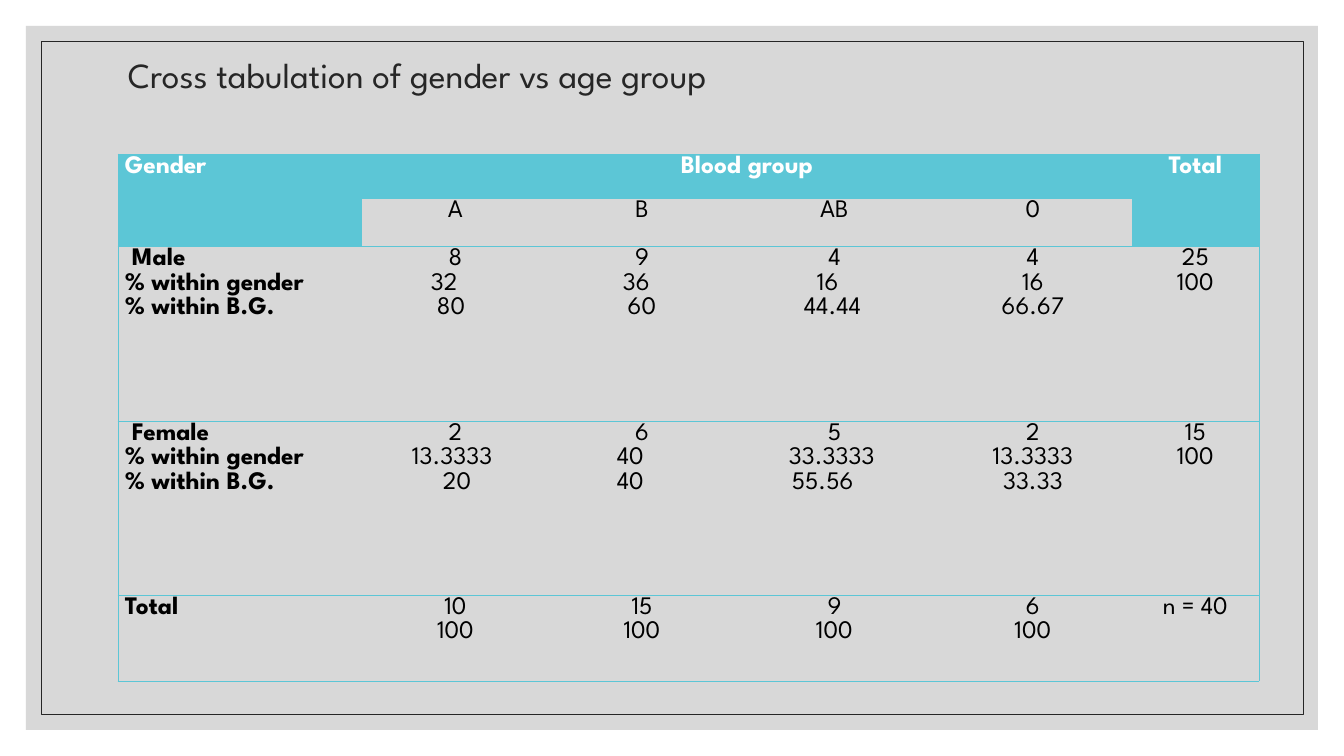
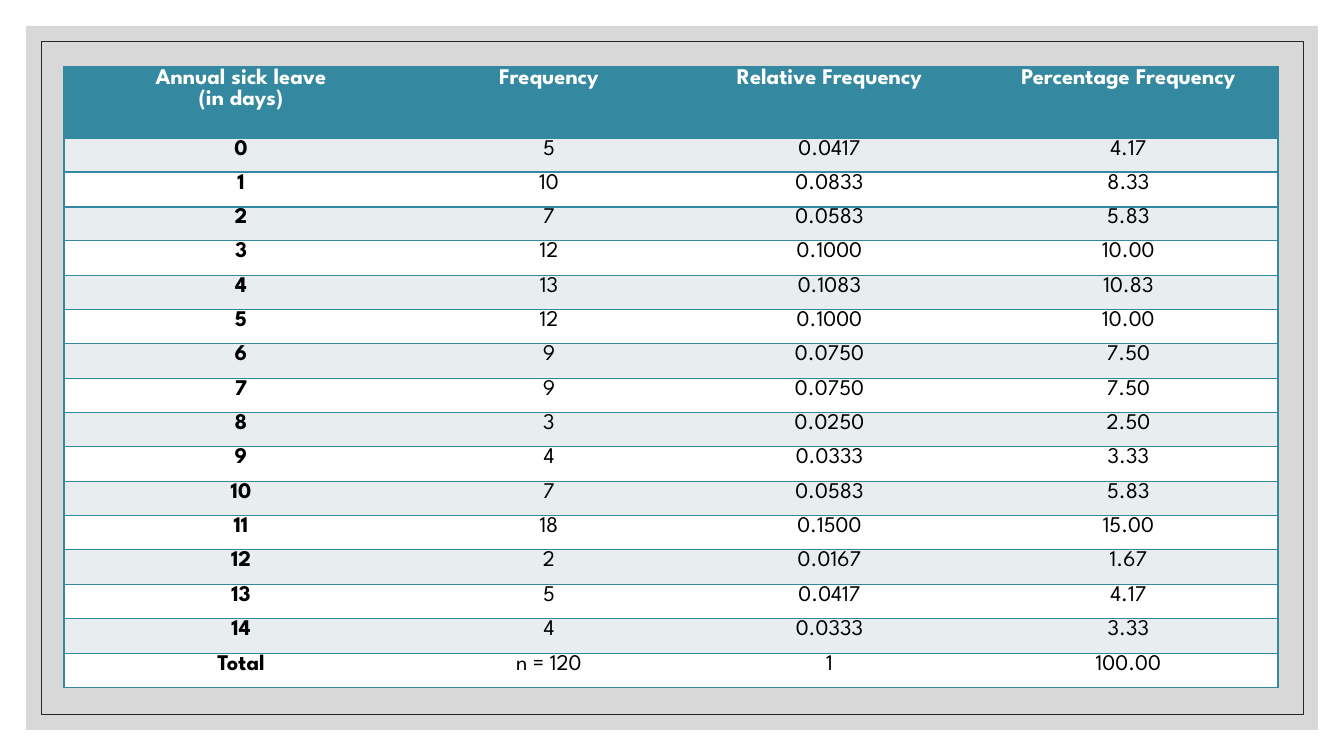
from dataclasses import dataclass
from typing import Optional, Union

from lxml import etree
from pptx import Presentation
from pptx.dml.color import RGBColor
from pptx.enum.shapes import MSO_SHAPE
from pptx.enum.text import MSO_ANCHOR, PP_ALIGN
from pptx.oxml.ns import qn
from pptx.util import Emu, Pt

RECTANGLE = MSO_SHAPE.RECTANGLE
LEFT, CENTER = PP_ALIGN.LEFT, PP_ALIGN.CENTER
MIDDLE = MSO_ANCHOR.MIDDLE

SLIDE_W, SLIDE_H = 1344, 756
EMU_PER_PX = 12192000 / SLIDE_W
FONT = "League Spartan"
BLACK, WHITE, INK = "000000", "FFFFFF", "262626"
PANEL, TURQUOISE, TEAL, PALE = "BFBFBF", "5CC6D6", "3488A0", "E8EDF0"
CELL_INSET = 7
NO_STYLE = "{2D5ABB26-0587-4C30-8999-92F81FD0307C}"


@dataclass(frozen=True)
class Line:
    """A line of text; with an indent it is left-aligned at that offset."""
    text: str
    indent: Optional[int] = None


Lines = list[Union[str, Line]]


@dataclass(frozen=True)
class TableStyle:
    size: int
    border: str
    border_pt: float
    header_rows: int
    bands: tuple[Optional[str], ...]


def px(length: float) -> Emu:
    return Emu(round(length * EMU_PER_PX))


def rgb(code: str) -> RGBColor:
    return RGBColor.from_string(code)


def write(frame, lines: Lines, *, size: float, color: str = BLACK,
          bold: bool = False, align=LEFT, spacing: float = 1.07) -> None:
    for index, item in enumerate(lines):
        line = item if isinstance(item, Line) else Line(item)
        paragraph = frame.add_paragraph() if index else frame.paragraphs[0]
        paragraph.line_spacing = spacing
        paragraph.alignment = align if line.indent is None else LEFT
        if line.indent is not None:
            paragraph._p.get_or_add_pPr().set("marL", str(px(line.indent)))
        run = paragraph.add_run()
        run.text = line.text
        run.font.name, run.font.size, run.font.bold = FONT, Pt(size), bold
        run.font.color.rgb = rgb(color)


# Shared backdrop: translucent panel with a thin frame
def add_backdrop(slide) -> None:
    panel = slide.shapes.add_shape(RECTANGLE, px(26), px(26), px(1292), px(704))
    panel.shadow.inherit = False
    panel.fill.solid()
    panel.fill.fore_color.rgb = rgb(PANEL)
    panel.line.fill.background()
    tint = panel._element.spPr.find(qn("a:solidFill"))[0]
    etree.SubElement(tint, qn("a:alpha"), val="60000")

    frame = slide.shapes.add_shape(RECTANGLE, px(41), px(41), px(1262), px(673))
    frame.shadow.inherit = False
    frame.fill.background()
    frame.line.color.rgb = rgb(INK)
    frame.line.width = Pt(0.5)


def add_title(slide, text: str) -> None:
    title = slide.shapes.add_textbox(px(118), px(55), px(1109), px(44))
    title.text_frame.word_wrap = True
    title.text_frame.vertical_anchor = MIDDLE
    write(title.text_frame, [text], size=25.2, color=INK, spacing=0.9)


def add_border(cell, side: str, color: str, width: float) -> None:
    edge = etree.SubElement(cell._tc.get_or_add_tcPr(), qn(f"a:ln{side}"),
                            w=str(Pt(width)))
    paint = etree.SubElement(edge, qn("a:solidFill"))
    etree.SubElement(paint, qn("a:srgbClr"), val=color)


def paint_cell(cell, fill: Optional[str]) -> None:
    if fill is None:
        cell.fill.background()
    else:
        cell.fill.solid()
        cell.fill.fore_color.rgb = rgb(fill)


def add_grid(slide, left: int, top: int, widths: list[int],
             heights: list[int], style: TableStyle):
    """Add a table with outer borders, row rules and no column rules."""
    table = slide.shapes.add_table(len(heights), len(widths), px(left), px(top),
                                   px(sum(widths)), px(sum(heights))).table
    table.first_row = table.horz_banding = False
    table._tbl.tblPr.find(qn("a:tableStyleId")).text = NO_STYLE
    for column, width in zip(table.columns, widths):
        column.width = px(width)
    for r, (row, height) in enumerate(zip(table.rows, heights)):
        row.height = px(height)
        body_row = r - style.header_rows
        fill = (style.border if body_row < 0
                else style.bands[body_row % len(style.bands)])
        for c, cell in enumerate(row.cells):
            sides = (["L"] if c == 0 else []) + (
                ["R"] if c == len(widths) - 1 else []) + ["T", "B"]
            for side in sides:
                add_border(cell, side, style.border, style.border_pt)
            paint_cell(cell, fill)
            cell.margin_left = cell.margin_right = px(CELL_INSET)
            cell.margin_top = cell.margin_bottom = 0
    return table


def even_heights(total: int, count: int) -> list[int]:
    edges = [round(total * i / count) for i in range(count + 1)]
    return [low_edge - high_edge for high_edge, low_edge in zip(edges, edges[1:])]


# Cross tabulation content
WITHIN = ["% within gender", "% within B.G."]
BLOOD_GROUPS = ["A", "B", "AB", "0"]
CROSS_ROWS: list[list[Lines]] = [
    [[Line("Male", 7), *WITHIN],
     ["8", Line("32", 62), Line("80", 68)],
     ["9", Line("36", 67), "60"],
     ["4", Line("16", 75), Line("44.44", 62)],
     ["4", "16", "66.67"],
     ["25", "100"]],
    [[Line("Female", 7), *WITHIN],
     ["2", Line("13.3333", 43), Line("20", 74)],
     ["6", Line("40", 61), Line("40", 61)],
     ["5", Line("33.3333", 47), Line("55.56", 50)],
     ["2", "13.3333", "33.33"],
     ["15", "100"]],
    [["Total"], ["10", "100"], ["15", "100"], ["9", "100"], ["6", "100"],
     ["n = 40"]],
]
CROSS_STYLE = TableStyle(18, TURQUOISE, 0.5, 2, (None,))

# Sick leave content
LEAVE_HEADERS: list[Lines] = [["Annual sick leave", "(in days)"], ["Frequency"],
                              ["Relative Frequency"], ["Percentage Frequency"]]
LEAVE_ROWS = [
    ("0", "5", "0.0417", "4.17"),
    ("1", "10", "0.0833", "8.33"),
    ("2", "7", "0.0583", "5.83"),
    ("3", "12", "0.1000", "10.00"),
    ("4", "13", "0.1083", "10.83"),
    ("5", "12", "0.1000", "10.00"),
    ("6", "9", "0.0750", "7.50"),
    ("7", "9", "0.0750", "7.50"),
    ("8", "3", "0.0250", "2.50"),
    ("9", "4", "0.0333", "3.33"),
    ("10", "7", "0.0583", "5.83"),
    ("11", "18", "0.1500", "15.00"),
    ("12", "2", "0.0167", "1.67"),
    ("13", "5", "0.0417", "4.17"),
    ("14", "4", "0.0333", "3.33"),
    ("Total", "n = 120", "1", "100.00"),
]
LEAVE_STYLE = TableStyle(16, TEAL, 1, 1, (PALE, WHITE))


def build_cross_tabulation(slide) -> None:
    add_title(slide, "Cross tabulation of gender vs age group")
    table = add_grid(slide, 118, 154, [244, 187, 186, 199, 198, 127],
                     [44, 48, 175, 174, 86], CROSS_STYLE)
    size = CROSS_STYLE.size

    # Merged headers
    for (first, last), text, align in [(((0, 0), (1, 0)), "Gender", LEFT),
                                       (((0, 1), (0, 4)), "Blood group", CENTER),
                                       (((0, 5), (1, 5)), "Total", CENTER)]:
        header = table.cell(*first)
        header.merge(table.cell(*last))
        write(header.text_frame, [text], size=size, color=WHITE, bold=True,
              align=align)
    for c, group in enumerate(BLOOD_GROUPS, start=1):
        paint_cell(table.cell(1, c), None)
        write(table.cell(1, c).text_frame, [group], size=size, align=CENTER)

    # Counts and percentages
    for r, row in enumerate(CROSS_ROWS, start=CROSS_STYLE.header_rows):
        for c, lines in enumerate(row):
            write(table.cell(r, c).text_frame, lines, size=size, bold=c == 0,
                  align=CENTER if c else LEFT)


def build_sick_leave(slide) -> None:
    table = add_grid(slide, 64, 67, [354, 262, 299, 299],
                     [71, *even_heights(550, len(LEAVE_ROWS))], LEAVE_STYLE)
    rows = [LEAVE_HEADERS, *([[value] for value in row] for row in LEAVE_ROWS)]
    for r, row in enumerate(rows):
        for c, lines in enumerate(row):
            write(table.cell(r, c).text_frame, lines, size=LEAVE_STYLE.size,
                  color=BLACK if r else WHITE, bold=r == 0 or c == 0,
                  align=CENTER)


def main() -> None:
    deck = Presentation()
    deck.slide_width, deck.slide_height = px(SLIDE_W), px(SLIDE_H)
    blank = deck.slide_layouts[6]
    for build in (build_cross_tabulation, build_sick_leave):
        slide = deck.slides.add_slide(blank)
        add_backdrop(slide)
        build(slide)
    deck.save("out.pptx")


if __name__ == "__main__":
    main()
